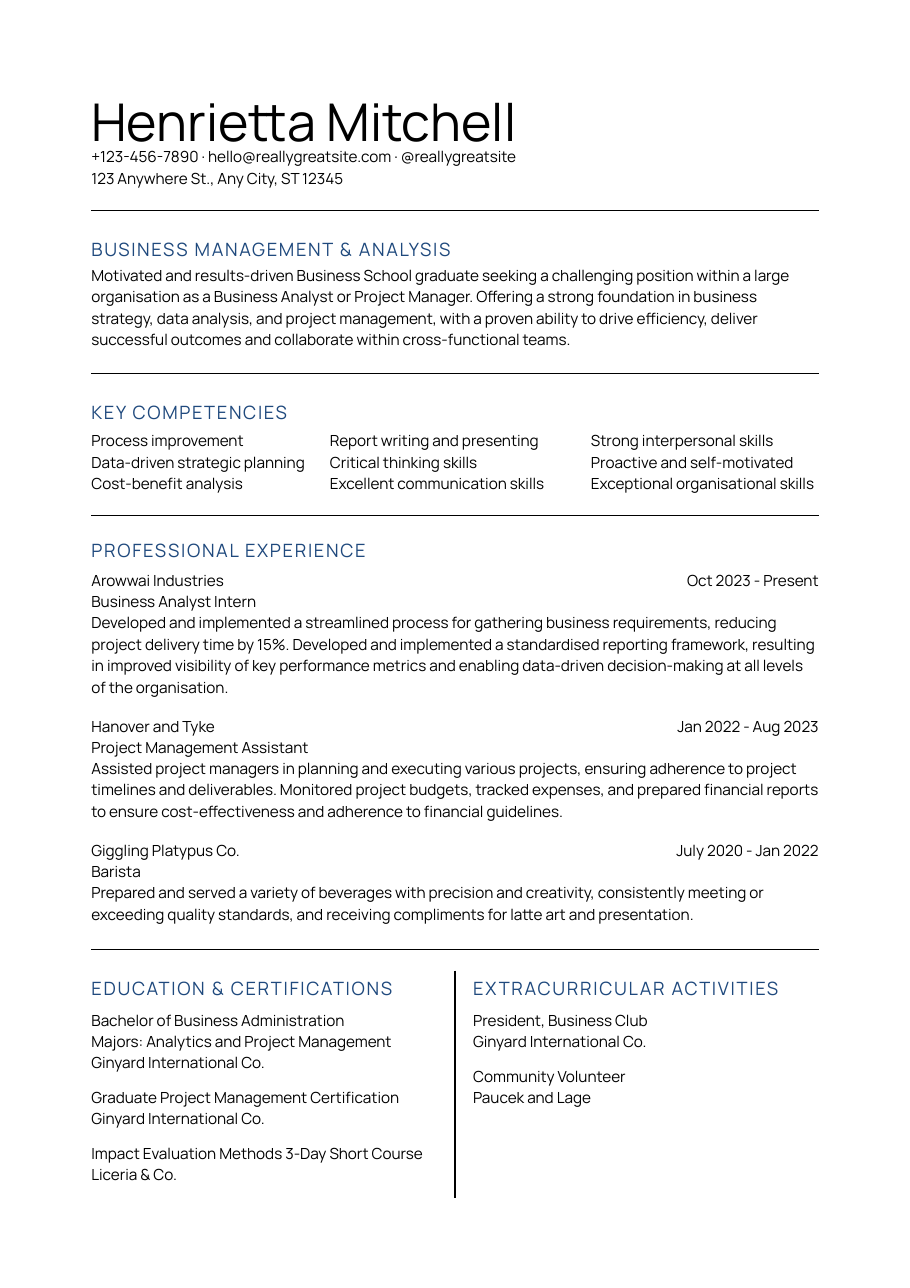
import dataclasses

import lxml.etree
import pptx
import pptx.dml.color
import pptx.enum.shapes
import pptx.enum.text
import pptx.oxml.ns
import pptx.util

WIDTH, HEIGHT = 8.26, 11.69
MARGIN = 0.83
COLUMN = (WIDTH - 2 * MARGIN) / 100
ROW = HEIGHT / 100
LINE = 1.63
ENTRY_GAP = 1.11
JOB_GAP = 1.52
FULL, HALF, THIRD = 100, 47.5, 31.3
RIGHT_HALF, RIGHT_THIRD = 52.5, 68.7
LEFT = pptx.enum.text.PP_ALIGN.LEFT
RIGHT = pptx.enum.text.PP_ALIGN.RIGHT


@dataclasses.dataclass(frozen=True)
class TextStyle:
    size: float
    leading: float
    color: str
    tracking: float = 0


@dataclasses.dataclass(frozen=True)
class Theme:
    font: str = "Manrope"
    rule_color: str = "000000"
    rule_width: float = 0.75
    name: TextStyle = TextStyle(34, 47.6, "000000")
    heading: TextStyle = TextStyle(12, 15.4, "1F497D", 1.1)
    body: TextStyle = TextStyle(10, 14, "000000")


class Resume:
    def __init__(self, s, theme):
        self.s = s
        self.theme = theme

    def x(self, column):
        return pptx.util.Inches(MARGIN + column * COLUMN)

    def y(self, row):
        return pptx.util.Inches(row * ROW)

    def text(self, column, row, columns, rows, lines, style, align=LEFT):
        width = pptx.util.Inches(columns * COLUMN)
        sp = self.s.shapes.add_textbox(self.x(column), self.y(row), width, self.y(rows))
        tf = sp.text_frame
        tf.word_wrap = True
        tf.auto_size = pptx.enum.text.MSO_AUTO_SIZE.SHAPE_TO_FIT_TEXT
        tf.margin_left = tf.margin_right = tf.margin_top = tf.margin_bottom = 0
        for i, line in enumerate(lines):
            p = tf.add_paragraph() if i else tf.paragraphs[0]
            p.alignment = align
            p.line_spacing = pptx.util.Pt(style.leading)
            r = p.add_run()
            r.text = line
            r.font.name = self.theme.font
            r.font.size = pptx.util.Pt(style.size)
            r.font.color.rgb = pptx.dml.color.RGBColor.from_string(style.color)
            if style.tracking:
                r._r.get_or_add_rPr().set("spc", str(round(style.tracking * 100)))

    def name(self, row, text):
        self.text(0, row, FULL, 5.3, [text], self.theme.name)

    def heading(self, column, row, columns, text):
        self.text(column, row, columns, 1.71, [text], self.theme.heading)

    def body(self, column, row, columns, lines, count=None, align=LEFT):
        rows = (count or len(lines)) * LINE
        self.text(column, row, columns, rows, lines, self.theme.body, align)

    def job(self, row, employer, dates, role, duties, count):
        self.body(0, row, 65.7, [employer])
        self.body(RIGHT_THIRD, row, THIRD, [dates], align=RIGHT)
        self.body(0, row + LINE, FULL, [role])
        self.body(0, row + 2 * LINE, FULL, [duties], count)
        return row + (count + 2) * LINE + JOB_GAP

    def entries(self, column, row, groups):
        for group in groups:
            for line in group:
                self.body(column, row, HALF, [line])
                row += LINE
            row += ENTRY_GAP

    def rule(self, column, row, end_column, end_row):
        c = self.s.shapes.add_connector(
            pptx.enum.shapes.MSO_CONNECTOR.STRAIGHT,
            self.x(column), self.y(row), self.x(end_column), self.y(end_row))
        c.line.width = pptx.util.Pt(self.theme.rule_width)
        c.line.color.rgb = pptx.dml.color.RGBColor.from_string(self.theme.rule_color)
        lxml.etree.SubElement(c._element.spPr, pptx.oxml.ns.qn("a:effectLst"))


COMPETENCIES = [
    (0, THIRD, ["Process improvement", "Data-driven strategic planning",
                "Cost-benefit analysis"]),
    (32.8, 34.5, ["Report writing and presenting", "Critical thinking skills",
                  "Excellent communication skills"]),
    (RIGHT_THIRD, THIRD, ["Strong interpersonal skills", "Proactive and self-motivated",
                          "Exceptional organisational skills"]),
]

JOBS = [
    ("Arowwai Industries", "Oct 2023 - Present", "Business Analyst Intern",
     "Developed and implemented a streamlined process for gathering business requirements, "
     "reducing project delivery time by 15%. Developed and implemented a standardised "
     "reporting framework, resulting in improved visibility of key performance metrics and "
     "enabling data-driven decision-making at all levels of the organisation.", 4),
    ("Hanover and Tyke", "Jan 2022 - Aug 2023", "Project Management Assistant",
     "Assisted project managers in planning and executing various projects, ensuring "
     "adherence to project timelines and deliverables. Monitored project budgets, tracked "
     "expenses, and prepared financial reports to ensure cost-effectiveness and adherence "
     "to financial guidelines.", 3),
    ("Giggling Platypus Co.", "July 2020 - Jan 2022", "Barista",
     "Prepared and served a variety of beverages with precision and creativity, consistently "
     "meeting or exceeding quality standards, and receiving compliments for latte art and "
     "presentation.", 2),
]

EDUCATION = [
    ["Bachelor of Business Administration", "Majors: Analytics and Project Management",
     "Ginyard International Co."],
    ["Graduate Project Management Certification", "Ginyard International Co."],
    ["Impact Evaluation Methods 3-Day Short Course", "Liceria & Co."],
]

ACTIVITIES = [
    ["President, Business Club", "Ginyard International Co."],
    ["Community Volunteer", "Paucek and Lage"],
]

PROFILE = (
    "Motivated and results-driven Business School graduate seeking a challenging position "
    "within a large organisation as a Business Analyst or Project Manager. Offering a strong "
    "foundation in business strategy, data analysis, and project management, with a proven "
    "ability to drive efficiency, deliver successful outcomes and collaborate within "
    "cross-functional teams.")


def main():
    prs = pptx.Presentation()
    prs.slide_width = pptx.util.Inches(WIDTH)
    prs.slide_height = pptx.util.Inches(HEIGHT)
    resume = Resume(prs.slides.add_slide(prs.slide_layouts[6]), Theme())

    resume.name(6.16, "Henrietta Mitchell")
    resume.body(0, 11.21, FULL, [
        "+123-456-7890 · hello@reallygreatsite.com · @reallygreatsite",
        "123 Anywhere St., Any City, ST 12345"])

    resume.heading(0, 18.39, FULL, "BUSINESS MANAGEMENT & ANALYSIS")
    resume.body(0, 20.44, FULL, [PROFILE], 4)

    resume.heading(0, 31.05, FULL, "KEY COMPETENCIES")
    for column, columns, skills in COMPETENCIES:
        resume.body(column, 33.28, columns, skills)

    resume.heading(0, 41.75, FULL, "PROFESSIONAL EXPERIENCE")
    row = 44.14
    for job in JOBS:
        row = resume.job(row, *job)

    for column, title, groups in [
            (0, "EDUCATION & CERTIFICATIONS", EDUCATION),
            (RIGHT_HALF, "EXTRACURRICULAR ACTIVITIES", ACTIVITIES)]:
        resume.heading(column, 75.79, HALF, title)
        resume.entries(column, 78.27, groups)

    for row in (16.34, 29, 40.03, 73.74):
        resume.rule(0, row, FULL, row)
    resume.rule(50, 75.36, 50, 92.99)

    prs.save("out.pptx")


if __name__ == "__main__":
    main()
